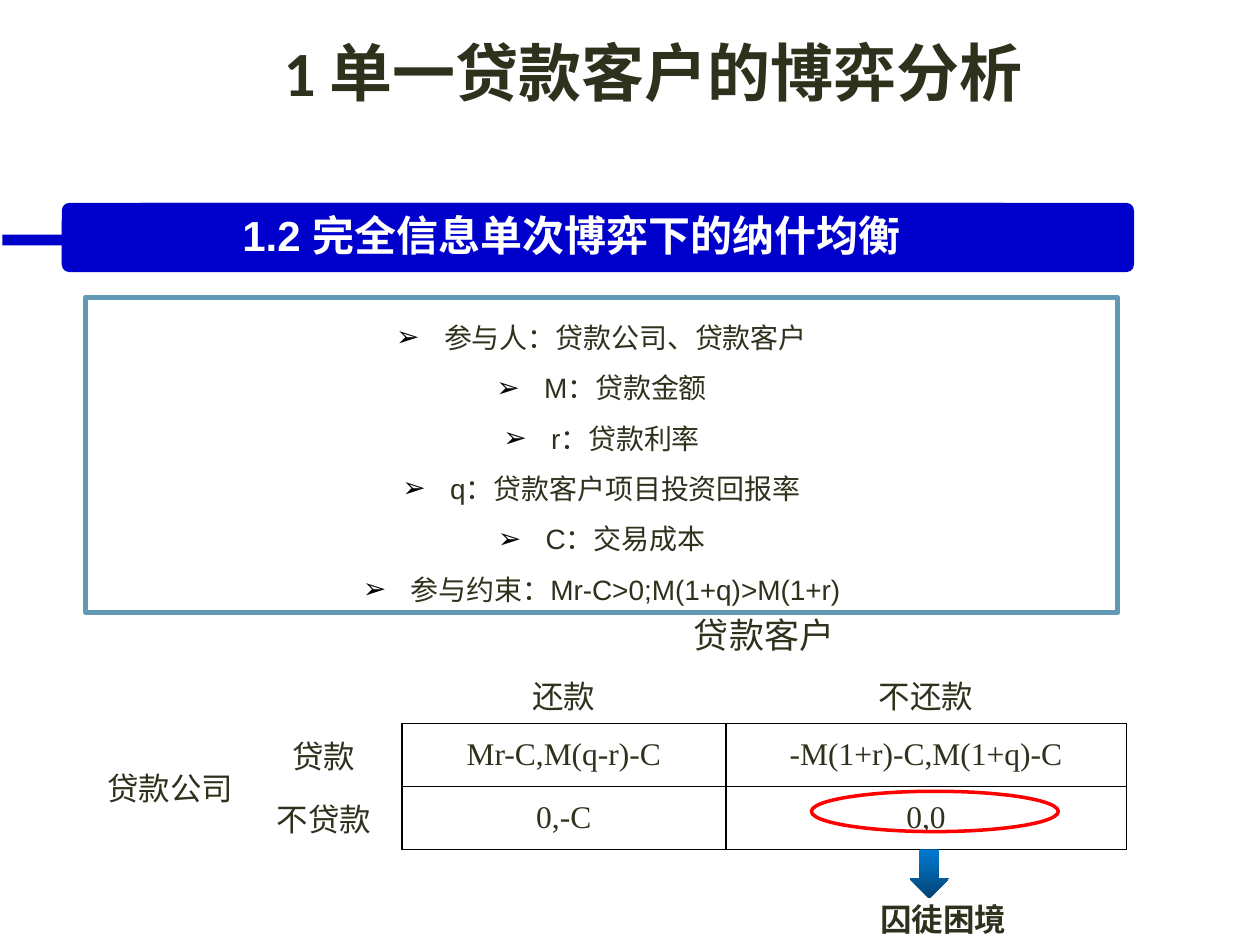
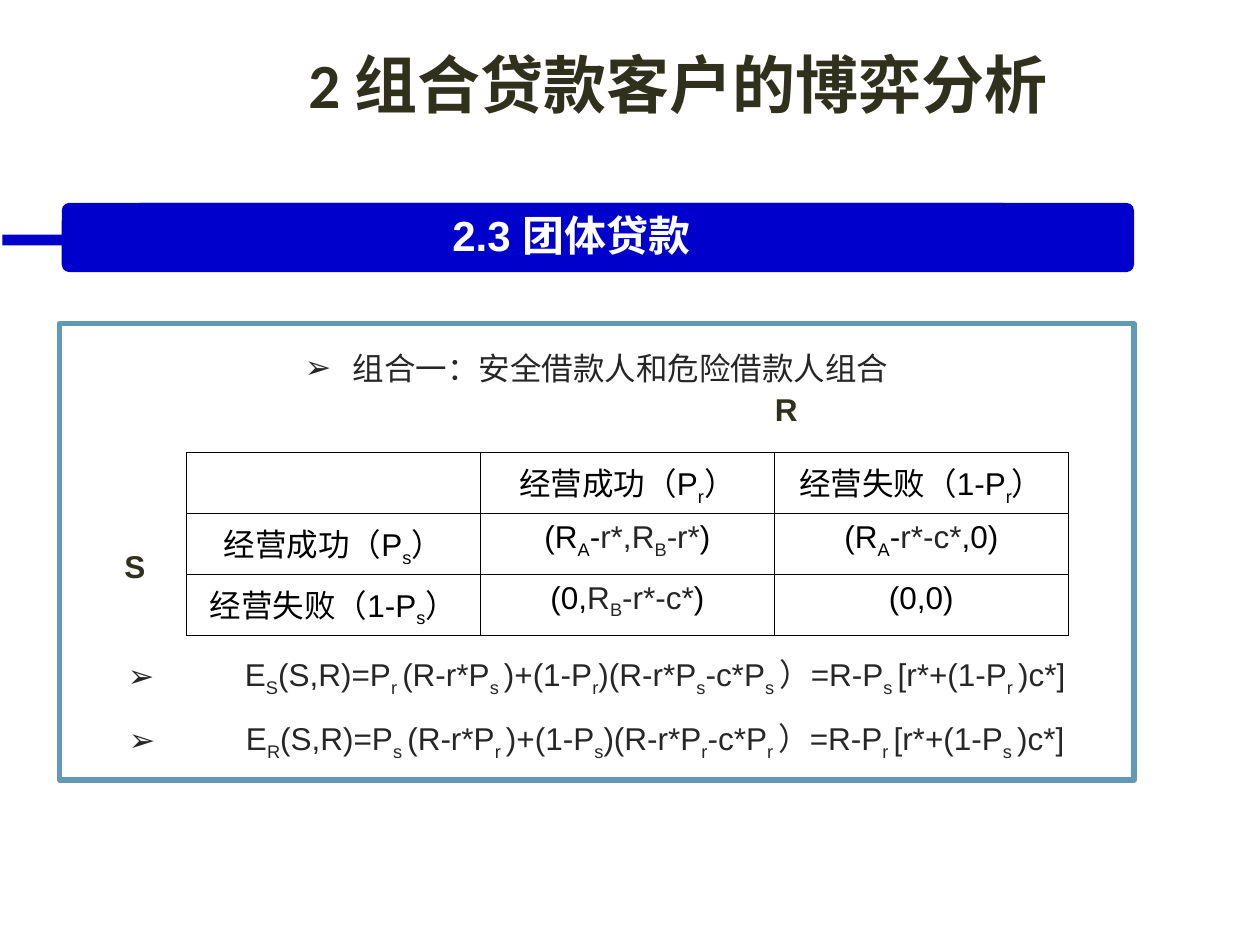
from lxml.etree import SubElement
from pptx import Presentation
from pptx.dml.color import RGBColor
from pptx.enum.shapes import MSO_SHAPE
from pptx.enum.text import MSO_ANCHOR, MSO_AUTO_SIZE, PP_ALIGN
from pptx.oxml.ns import qn
from pptx.util import Inches, Pt

COLORS = {
    "band": "0000CC", "white": "FFFFFF", "frame": "6299B4", "text": "30311D",
    "black": "000000", "grey": "262626", "ring": "FF0000",
    "arrow_top": "007BD3", "arrow_bottom": "034373",
}
NO_STYLE = "{2D5ABB26-0587-4C30-8999-92F81FD0307C}"

# "~" toggles subscript, "|" toggles the grey colour.
SINGLE = {
    "title": "1 单一贷款客户的博弈分析",
    "title_at": (1.19, 0.21, 7.99, 0.71),
    "band": "1.2 完全信息单次博弈下的纳什均衡",
    "box_at": (0.68, 2.36, 8.19, 2.5),
    "points": [
        "参与人：贷款公司、贷款客户",
        "M：贷款金额",
        "r：贷款利率",
        "q：贷款客户项目投资回报率",
        "C：交易成本",
        "参与约束：Mr-C>0;M(1+q)>M(1+r)",
    ],
    "table": [
        ["", "", "贷款客户", ""],
        ["", "", "还款", "不还款"],
        ["贷款公司", "贷款", "Mr-C,M(q-r)-C", "-M(1+r)-C,M(1+q)-C"],
        ["", "不贷款", "0,-C", "0,0"],
    ],
    "outcome": "囚徒困境",
}
GROUP = {
    "title": "2 组合贷款客户的博弈分析",
    "title_at": (1.04, 0.31, 8.68, 0.71),
    "band": "2.3 团体贷款",
    "box_at": (0.47, 2.57, 8.53, 3.62),
    "points": ["组合一：安全借款人和危险借款人组合"],
    "formulas": [
        f"E~{own.upper()}~(S,R)=P~{other} ~(R-r*P~{own} ~)+(1-P~{other}~)"
        f"(R-r*P~{own}~-c*P~{own} ~）=R-P~{own} ~[r*+(1-P~{other} ~)c*]"
        for own, other in ("sr", "rs")
    ],
    "table": [
        ["", "经营成功（P~r~）", "经营失败（1-P~r~）"],
        ["经营成功（P~s~）", "(R~A~-|r*,R~B~-r*|)", "(R~A~-|r*-c*|,0)"],
        ["经营失败（1-P~s~）", "(0,|R~B~-r*-c*|)", "(0,0)"],
    ],
    "players": [("S", 0.79, 4.29), ("R", 5.96, 3.05)],
}


def rgb(name):
    return RGBColor.from_string(COLORS[name])


def place(s, at):
    s.left, s.top, s.width, s.height = map(Inches, at)


def write(p, text, size, color, font="Arial", bold=False, align=PP_ALIGN.CENTER):
    p.alignment = align
    for i, part in enumerate(text.split("|")):
        for j, piece in enumerate(part.split("~")):
            if not piece:
                continue
            r = p.add_run()
            r.text = piece
            r.font.name, r.font.size, r.font.bold = font, Pt(size), bold
            r.font.color.rgb = rgb("grey" if i % 2 else color)
            if j % 2:
                r._r.get_or_add_rPr().set("baseline", "-25000")


def add_shape(shapes, kind, at, fill=None, line=None, weight=0):
    s = shapes.add_shape(kind, *map(Inches, at))
    s.shadow.inherit = False
    if fill:
        s.fill.solid()
        s.fill.fore_color.rgb = rgb(fill)
    else:
        s.fill.background()
    if line:
        s.line.color.rgb = rgb(line)
        s.line.width = Pt(weight)
    else:
        s.line.fill.background()
    return s


def add_label(slide, text, at):
    tf = slide.shapes.add_textbox(*map(Inches, at)).text_frame
    tf.word_wrap = True
    write(tf.paragraphs[0], text, 18, "text", bold=True)


def add_band(slide, text):
    shapes = slide.shapes.add_group_shape().shapes
    bar = add_shape(shapes, MSO_SHAPE.ROUNDED_RECTANGLE, (0.49, 1.61, 8.51, 0.55), "band")
    bar.adjustments[0] = 0.11
    pointer = add_shape(shapes, MSO_SHAPE.RIGHT_ARROW, (0.02, 1.82, 0.93, 0.17), "band")
    pointer.adjustments[1] = 2.27
    heading = add_shape(shapes, MSO_SHAPE.RECTANGLE, (1.11, 1.61, 6.85, 0.5), "band")
    tf = heading.text_frame
    tf.vertical_anchor = MSO_ANCHOR.TOP
    write(tf.paragraphs[0], text, 24, "white", bold=True)


def add_bullet(p, text, size, color, bullet_color, indent=0.38):
    pPr = p._p.get_or_add_pPr()
    pPr.set("marL", str(Inches(indent)))
    pPr.set("indent", str(-Inches(indent)))
    SubElement(SubElement(pPr, qn("a:buClr")), qn("a:srgbClr"), val=COLORS[bullet_color])
    SubElement(pPr, qn("a:buFont"), typeface="Arial")
    SubElement(pPr, qn("a:buChar"), char="➢")
    p.line_spacing = 1.5
    p.space_before = p.space_after = Pt(0)
    write(p, text, size, color)


def next_paragraph(tf):
    return tf.add_paragraph() if tf.text else tf.paragraphs[0]


def start_slide(prs, content, size, color, bullet_color):
    slide = prs.slides.add_slide(prs.slide_layouts[1])
    title, body = slide.placeholders
    place(title, content["title_at"])
    place(body, content["box_at"])
    for s in (title, body):
        s.text_frame.auto_size = MSO_AUTO_SIZE.NONE
    title.text_frame.vertical_anchor = MSO_ANCHOR.MIDDLE
    write(title.text_frame.paragraphs[0], content["title"], 36, "text", "Calibri", True)
    body.line.color.rgb = rgb("frame")
    body.line.width = Pt(3)
    for point in content["points"]:
        add_bullet(next_paragraph(body.text_frame), point, size, color, bullet_color)
    add_band(slide, content["band"])
    return slide, body.text_frame


def set_border(cell, sides, weight):
    tcPr = cell._tc.get_or_add_tcPr()
    for side in sides:
        ln = SubElement(tcPr, qn(f"a:ln{side}"), w=str(Pt(weight)))
        SubElement(SubElement(ln, qn("a:solidFill")), qn("a:srgbClr"), val=COLORS["black"])


def add_table(slide, rows, at, widths, heights):
    frame = slide.shapes.add_table(len(rows), len(widths), *map(Inches, at))
    table = frame.table
    table.first_row = table.horz_banding = False
    table._tbl.tblPr.find(qn("a:tableStyleId")).text = NO_STYLE
    for col, width in zip(table.columns, widths):
        col.width = Inches(width)
    for row, height in zip(table.rows, heights):
        row.height = Inches(height)
    return table


def build_single(prs):
    slide, _ = start_slide(prs, SINGLE, 16, "text", "black")
    rows = SINGLE["table"]
    table = add_table(slide, rows, (0, 4.68, 8.94, 2), (1.95, 1.24, 2.57, 3.18), (0.6, 0.4, 0.5, 0.5))
    table.cell(0, 2).merge(table.cell(0, 3))
    table.cell(2, 0).merge(table.cell(3, 0))
    for i, row in enumerate(rows):
        for j, text in enumerate(row):
            cell = table.cell(i, j)
            cell.vertical_anchor = MSO_ANCHOR.MIDDLE if i else MSO_ANCHOR.BOTTOM
            align = PP_ALIGN.CENTER if j else PP_ALIGN.RIGHT
            write(cell.text_frame.paragraphs[0], text, 18 if i else 20, "text", "Times New Roman", align=align)
            if i > 1 and j > 1:
                set_border(cell, "LRTB", 1.08)
            cell.fill.background()
    add_shape(slide.shapes, MSO_SHAPE.OVAL, (6.44, 6.28, 1.96, 0.32), line="ring", weight=2)
    arrow = add_shape(slide.shapes, MSO_SHAPE.DOWN_ARROW, (7.22, 6.74, 0.31, 0.39))
    arrow.fill.gradient()
    arrow.fill.gradient_angle = 270
    for stop, position, name in zip(arrow.fill.gradient_stops, (0, 1), ("arrow_top", "arrow_bottom")):
        stop.position = position
        stop.color.rgb = rgb(name)
    add_label(slide, SINGLE["outcome"], (6.8, 7.09, 1.37, 0.4))


def build_group(prs):
    slide, tf = start_slide(prs, GROUP, 18, "grey", "grey")
    for i, formula in enumerate(GROUP["formulas"]):
        p = tf.add_paragraph()
        add_bullet(p, formula, 18, "grey", "grey", indent=0.93)
        if i == 0:
            p.space_before = Pt(141)
    rows = GROUP["table"]
    table = add_table(slide, rows, (1.48, 3.59, 7, 1.35), [7 / 3] * 3, [0.45] * 3)
    for i, row in enumerate(rows):
        for j, text in enumerate(row):
            cell = table.cell(i, j)
            write(cell.text_frame.paragraphs[0], text, 18, "black")
            set_border(cell, "LRTB", 0.45)
            cell.fill.background()
    for player, left, top in GROUP["players"]:
        add_label(slide, player, (left, top, 0.56, 0.4))


def main():
    prs = Presentation()
    prs.slide_width, prs.slide_height = Inches(10), Inches(7.5)
    build_single(prs)
    build_group(prs)
    prs.save("out.pptx")


if __name__ == "__main__":
    main()
